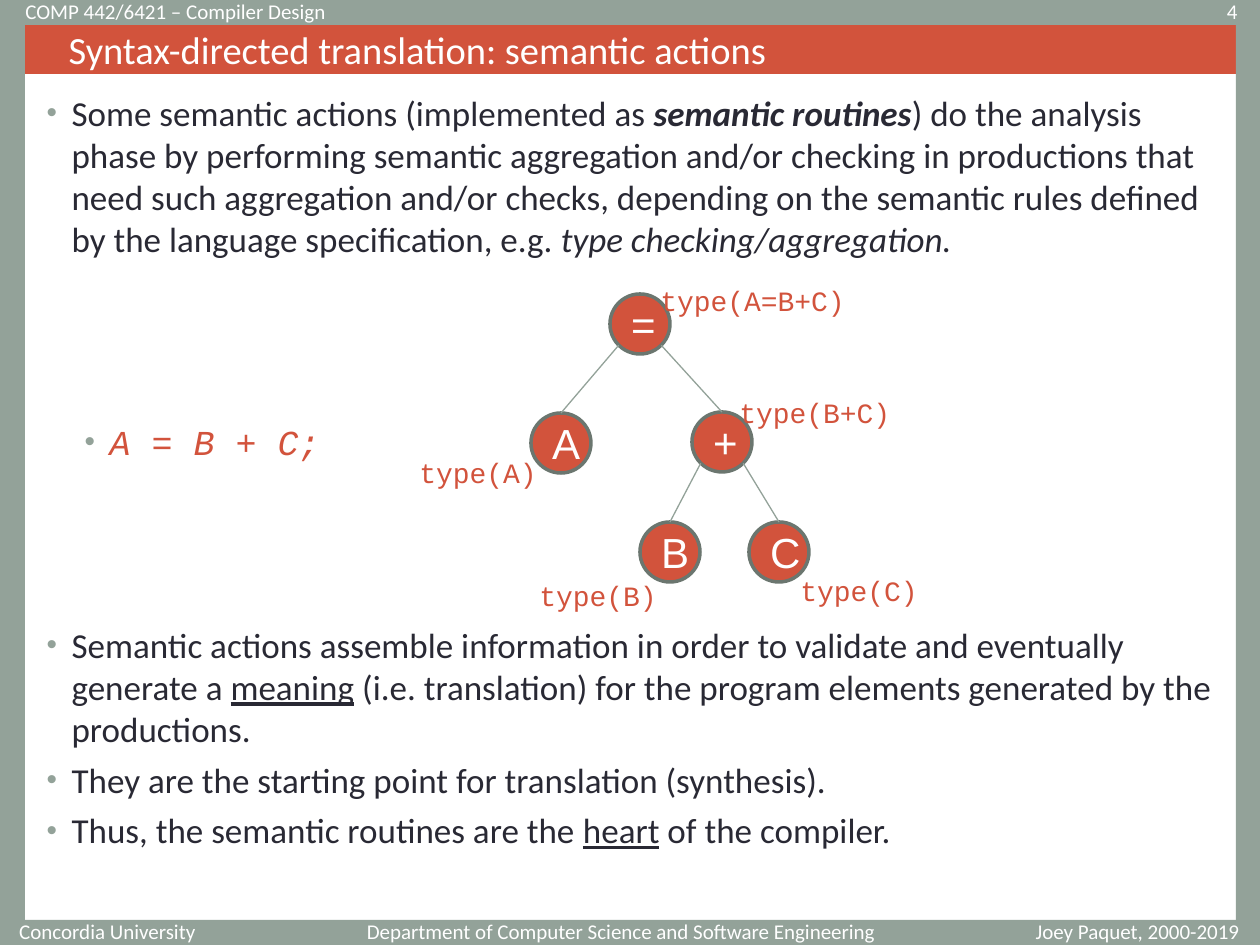
from lxml.etree import SubElement
from pptx import Presentation
from pptx.dml.color import RGBColor
from pptx.enum.shapes import MSO_CONNECTOR, MSO_SHAPE
from pptx.enum.text import MSO_ANCHOR, MSO_AUTO_SIZE, PP_ALIGN
from pptx.oxml.ns import qn
from pptx.util import Emu, Pt

PX = 914400 / 126
SAGE = RGBColor(0x93, 0xA2, 0x99)
DARK_SAGE = RGBColor(0x6B, 0x76, 0x6F)
RED = RGBColor(0xD2, 0x53, 0x3C)
INK = RGBColor(0x29, 0x29, 0x34)
WHITE = RGBColor(0xFF, 0xFF, 0xFF)

NODE_SIZE = 60
LABEL_CHARACTER = 17
LABEL_PADDING = 32
FRAME_BARS = [
    (0, 0, 1260, 25), (0, 920, 1260, 25),
    (0, 0, 25, 937), (1236, 23, 24, 922),
]
MARGIN_TEXTS = [
    ("COMP 442/6421 – Compiler Design", (13, 4, 706, 15), PP_ALIGN.LEFT),
    ("4", (1103, 4, 147, 15), PP_ALIGN.RIGHT),
    ("Concordia University", (4, 924, 204, 15), PP_ALIGN.RIGHT),
    ("Department of Computer Science and Software Engineering",
     (353, 924, 535, 15), PP_ALIGN.RIGHT),
    ("Joey Paquet, 2000-2019", (1007, 924, 261, 15), PP_ALIGN.CENTER),
]
# Level, space before in points, runs of (text, font attributes that are on)
BODY = [
    (0, 0, [
        ("Some semantic actions (implemented as ", ()),
        ("semantic routines", ("bold", "italic")),
        (") do the analysis phase by performing semantic aggregation and/or "
         "checking in productions that need such aggregation and/or checks, "
         "depending on the semantic rules defined by the language "
         "specification, e.g. ", ()),
        ("type checking/aggregation.", ("italic",)),
    ]),
    (1, 92, [("A = B + C;", ("italic",))]),
    (0, 92, [
        ("Semantic actions assemble information in order to validate and "
         "eventually generate a ", ()),
        ("meaning", ("underline",)),
        (" (i.e. translation) for the program elements generated by the "
         "productions.", ()),
    ]),
    (0, 5, [("They are the starting point for translation (synthesis).", ())]),
    (0, 5, [
        ("Thus, the semantic routines are the ", ()),
        ("heart", ("underline",)),
        (" of the compiler.", ()),
    ]),
]
# Symbol, node position, label, label position
NODES = [
    ("=", (610, 294), "type(A=B+C)", (648, 277)),
    ("A", (531, 413), "type(A)", (407, 449)),
    ("+", (692, 412), "type(B+C)", (727, 389)),
    ("B", (640, 522), "type(B)", (527, 572)),
    ("C", (749, 522), "type(C)", (788, 567)),
]
BRANCHES = [("=", "A", -1), ("=", "+", 1), ("+", "B", -1), ("+", "C", 1)]


def px(*lengths):
    return [Emu(round(length * PX)) for length in lengths]


def format_font(font, name, size, color):
    font.name, font.size = name, Pt(size)
    font.color.rgb = color


def add_filled(slide, kind, box, color):
    shape = slide.shapes.add_shape(kind, *px(*box))
    shape.shadow.inherit = False
    shape.fill.solid()
    shape.fill.fore_color.rgb = color
    shape.line.fill.background()
    return shape


def add_text(slide, text, box, name, size, color, align=PP_ALIGN.LEFT, wrap=True):
    text_box = slide.shapes.add_textbox(*px(*box))
    frame = text_box.text_frame
    frame.word_wrap = wrap
    frame.text = text
    frame.paragraphs[0].alignment = align
    format_font(frame.paragraphs[0].runs[0].font, name, size, color)
    return frame


def place(placeholder, box):
    placeholder.left, placeholder.top, placeholder.width, placeholder.height = px(*box)
    placeholder.text_frame.auto_size = MSO_AUTO_SIZE.NONE


def add_title(slide):
    title = slide.shapes.title
    place(title, (25, 25, 1212, 49))
    title.fill.solid()
    title.fill.fore_color.rgb = RED
    frame = title.text_frame
    frame.vertical_anchor = MSO_ANCHOR.MIDDLE
    frame.text = "Syntax-directed translation: semantic actions"
    paragraph = frame.paragraphs[0]
    paragraph.alignment = PP_ALIGN.LEFT
    paragraph._p.get_or_add_pPr().set("marL", str(px(31)[0]))
    format_font(paragraph.runs[0].font, "Calibri", 22, WHITE)


def set_bullet(paragraph, margin, hanging):
    properties = paragraph._p.get_or_add_pPr()
    properties.set("marL", str(px(margin)[0]))
    properties.set("indent", str(px(-hanging)[0]))
    color = SubElement(properties, qn("a:buClr"))
    SubElement(color, qn("a:srgbClr"), val=str(SAGE))
    SubElement(properties, qn("a:buSzPct"), val="85000")
    SubElement(properties, qn("a:buFont"), typeface="Arial")
    SubElement(properties, qn("a:buChar"), char="•")


def add_body(slide):
    body = slide.placeholders[1]
    place(body, (34, 85, 1191, 824))
    frame = body.text_frame
    for index, (level, space, runs) in enumerate(BODY):
        paragraph = frame.add_paragraph() if index else frame.paragraphs[0]
        paragraph.level = level
        set_bullet(paragraph, 63 if level else 25, 25)
        paragraph.space_before = Pt(space)
        name, color = ("Courier New", RED) if level else ("Calibri", INK)
        for text, styles in runs:
            run = paragraph.add_run()
            run.text = text
            format_font(run.font, name, 20, color)
            for style in styles:
                setattr(run.font, style, True)


def add_node(slide, symbol, position):
    node = add_filled(slide, MSO_SHAPE.OVAL, (*position, NODE_SIZE, NODE_SIZE), RED)
    node.line.color.rgb = DARK_SAGE
    node.line.width = Pt(2)
    node.text_frame.text = symbol
    format_font(node.text_frame.paragraphs[0].runs[0].font, "Arial", 24, WHITE)
    return node


def add_branch(slide, parent, child, side):
    """Join the parent's lower left (-1) or lower right (1) to the child's top."""
    radius = parent.width // 2
    reach = round(radius * 0.71)
    line = slide.shapes.add_connector(
        MSO_CONNECTOR.STRAIGHT,
        parent.left + radius + side * reach, parent.top + radius + reach,
        child.left + radius, child.top)
    line.end_connect(child, 0)
    line.line.color.rgb = SAGE
    line.line.width = Pt(0.75)
    SubElement(line._element.spPr, qn("a:effectLst"))


def add_tree(slide):
    nodes = {symbol: add_node(slide, symbol, position)
             for symbol, position, *_ in NODES}
    for parent, child, side in BRANCHES:
        add_branch(slide, nodes[parent], nodes[child], side)
    for _, _, label, position in NODES:
        width = LABEL_CHARACTER * len(label) + LABEL_PADDING
        add_text(slide, label, (*position, width, 47), "Courier New", 16, RED,
                 wrap=False)


def main():
    presentation = Presentation()
    presentation.slide_width, presentation.slide_height = px(1260, 945)
    slide = presentation.slides.add_slide(presentation.slide_layouts[1])
    for box in FRAME_BARS:
        add_filled(slide, MSO_SHAPE.RECTANGLE, box, SAGE)
    for text, box, align in MARGIN_TEXTS:
        frame = add_text(slide, text, box, "Calibri", 12, WHITE, align)
        frame.vertical_anchor = MSO_ANCHOR.MIDDLE
    add_title(slide)
    add_body(slide)
    add_tree(slide)
    presentation.save("out.pptx")


if __name__ == "__main__":
    main()
